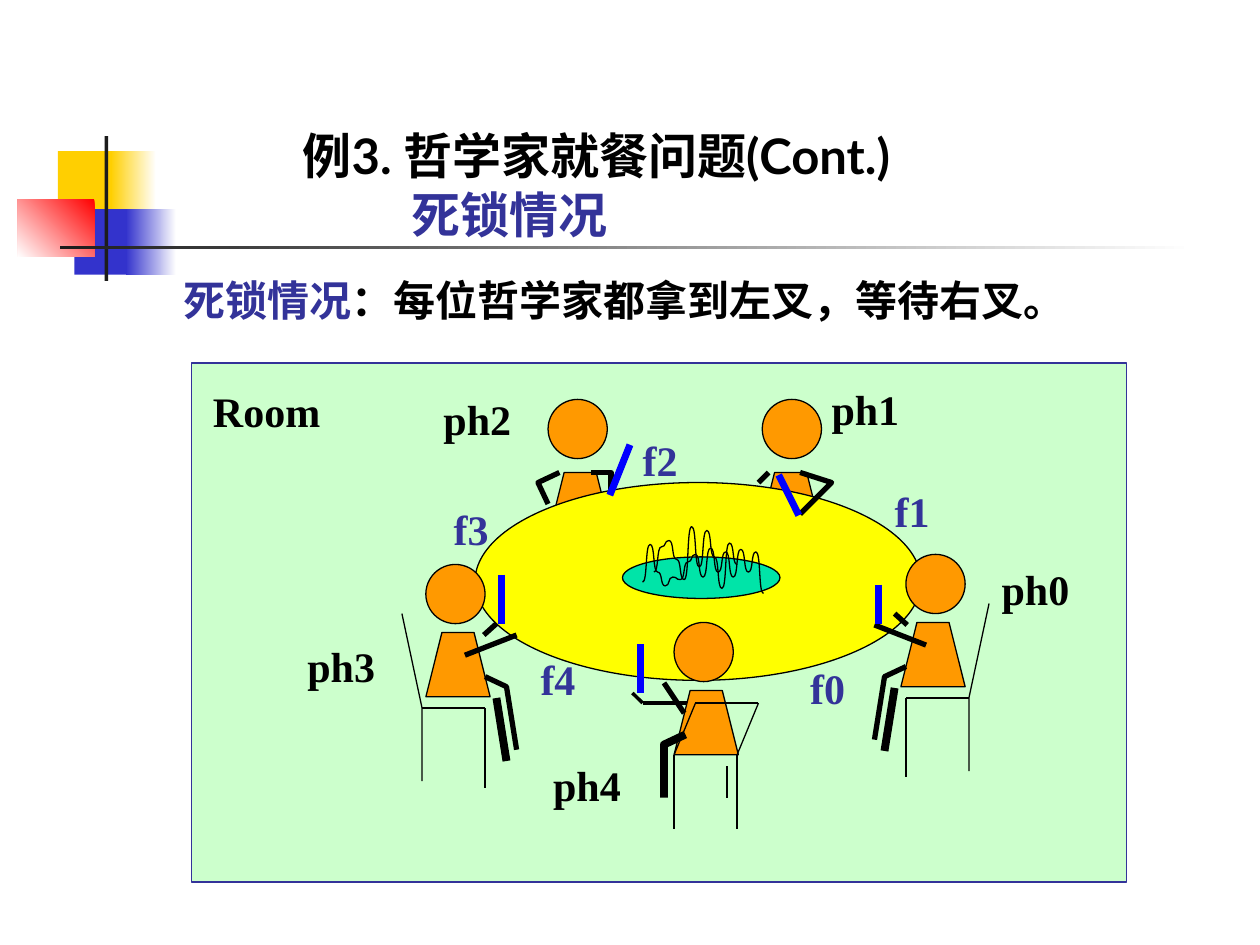
from lxml import etree
from pptx import Presentation
from pptx import util as u
from pptx.dml.color import RGBColor
from pptx.enum import shapes, text
from pptx.oxml.ns import qn

GRID = 0.72
BLACK, ORANGE, INDIGO, BLUE = "000000", "FF9900", "333399", "0000FF"
colour = RGBColor.from_string
KIND = shapes.MSO_SHAPE
HEAD, BODY = 47, 51

deck = Presentation()
deck.slide_width, deck.slide_height = u.Pt(720), u.Pt(540)
page = deck.slides.add_slide(deck.slide_layouts[5])


def place(kind, box, fill, line=BLACK):
    shape = page.shapes.add_shape(kind, *[u.Pt(value * GRID) for value in box])
    shape.shadow.inherit = False
    shape.fill.solid()
    shape.fill.fore_color.rgb = colour(fill)
    if line:
        shape.line.color.rgb = colour(line)
        shape.line.width = u.Pt(0.75)
    else:
        shape.line.fill.background()
    return shape


def trace(points, width=0.75, line=BLACK):
    if len(points) == 2:
        ends = [u.Pt(value * GRID) for point in points for value in point]
        stroke = page.shapes.add_connector(shapes.MSO_CONNECTOR.STRAIGHT, *ends)
        etree.SubElement(stroke._element.spPr, qn("a:effectLst"))
    else:
        builder = page.shapes.build_freeform(*points[0], scale=u.Pt(GRID))
        builder.add_line_segments(points[1:], close=False)
        stroke = builder.convert_to_shape()
        stroke.shadow.inherit = False
        stroke.fill.background()
    stroke.line.color.rgb = colour(line)
    stroke.line.width = u.Pt(width)
    return stroke


decorations = [
    ((46, 120, 48, 52), "FFCF01", None, 0),
    ((88, 120, 36, 52), "FFFFFF", "FFCF01", 180),
    ((59, 166, 46, 52), "3333CC", None, 0),
    ((100, 166, 40, 52), "FFFFFF", "3333CC", 180),
    ((14, 158, 61, 46), "FF0000", "FFFFFF", 225),
    ((83, 108, 3, 115), "1C1C1C", None, 0),
    ((48, 195, 900, 3), "FFFFFF", "1C1C1C", 180),
]
for box, start, end, angle in decorations:
    block = place(KIND.RECTANGLE, box, start, None)
    if end:
        block.fill.gradient()
        block.fill.gradient_angle = angle
        for stop, shade in zip(block.fill.gradient_stops, (start, end)):
            stop.color.rgb = colour(shade)

place(KIND.RECTANGLE, (152, 288, 742, 412), "CCFFCC", INDIGO)
for left in (435, 602):
    place(KIND.TRAPEZOID, (left, 375, BODY, BODY), ORANGE)
place(KIND.OVAL, (377, 383, 354, 157), "FFFF00")

seated = [
    ([(319, 487), (335, 562), (335, 620)], 0.75),
    ([(385, 562), (385, 625)], 0.75),
    ([(335, 562), (385, 562)], 0.75),
    ([(394, 554), (402, 604)], 4.5),
    ([(385, 537), (402, 545), (410, 595)], 3),
    ([(369, 520), (410, 504)], 3),
    ([(384, 504), (394, 495)], 3),
]
for mirrored, rise in ((False, 0), (True, 8)):
    for kind, top, size in ((KIND.TRAPEZOID, 502, BODY), (KIND.OVAL, 448, HEAD)):
        left = 1104 - 338 - size if mirrored else 338
        place(kind, (left, top - rise, size, size), ORANGE)
    for points, width in seated:
        trace([(1104 - x if mirrored else x, y - rise) for x, y in points], width)

trace([(510, 558), (560, 558)], 2)
trace([(502, 550), (510, 558)], 2)
place(KIND.TRAPEZOID, (535, 548, BODY, BODY), ORANGE)
for left in (535, 585):
    trace([(left, 599), (left, 658)])
    trace([(left, 599), (left + 17, 558)])
trace([(552, 558), (602, 558)])
trace([(577, 608), (577, 633)])
trace([(527, 542), (543, 566)], 3)
trace([(544, 583), (527, 591), (527, 633)], 4.5)

for left, top in ((535, 494), (605, 317), (435, 317)):
    place(KIND.OVAL, (left, top, HEAD, HEAD), ORANGE)
arms = [
    [(635, 375), (660, 383), (635, 408)],
    [(610, 375), (602, 383)],
    [(444, 375), (427, 383), (435, 400)],
    [(469, 375), (485, 375), (485, 392)],
]
for arm in arms:
    trace(arm, 3)

place(KIND.OVAL, (494, 442, 125, 33), "00E4A8")
noodles = [
    (519, [454, 434, 429, 444, 460, 418, 450, 421, 442, 467, 431, 448]),
    (510, [462, 432, 454, 465, 458, 460, 446, 440, 458, 435, 454, 438, 458, 436, 454, 438, 471]),
]
for left, heights in noodles:
    points = [(left, heights[0])]
    for index, (start, end) in enumerate(zip(heights, heights[1:])):
        x = left + 6 * index
        points += [(x + 4, start), (x + 2, end), (x + 6, end)]
    strand = trace(points)
    outline = strand._element.spPr.find(".//" + qn("a:path"))
    lines = outline.findall(qn("a:lnTo"))
    for index in range(0, len(lines), 3):
        curve = etree.SubElement(outline, qn("a:cubicBezTo"))
        for piece in lines[index:index + 3]:
            curve.append(piece[0])
            outline.remove(piece)

forks = [
    [(697, 464), (697, 495)],
    [(618, 377), (634, 409)],
    [(500, 353), (484, 393)],
    [(398, 456), (398, 495)],
    [(508, 511), (508, 550)],
]
for fork in forks:
    trace(fork, 4, BLUE)

places = {
    "Room": (169, 306), "ph0": (795, 447), "ph4": (439, 603), "ph3": (244, 508),
    "ph2": (352, 312), "ph1": (660, 304), "f0": (643, 526), "f4": (429, 519),
    "f3": (360, 400), "f2": (510, 345), "f1": (710, 385),
}
labels = [
    (spot, len(name) * 22, [(name, INDIGO if name[0] == "f" else BLACK)])
    for name, spot in places.items()
]
labels.append(((146, 218), 709, [("死锁情况", INDIGO), ("：每位哲学家都拿到左叉，等待右叉。", BLACK)]))
for spot, width, spans in labels:
    box = page.shapes.add_textbox(*[u.Pt(value * GRID) for value in (*spot, width, 40)])
    frame = box.text_frame
    frame.margin_left = frame.margin_right = frame.margin_top = frame.margin_bottom = 0
    frame.word_wrap = True
    for words, ink in spans:
        span = frame.paragraphs[0].add_run()
        span.text = words
        span.font.name, span.font.size, span.font.bold = "Times New Roman", u.Pt(24), True
        span.font.color.rgb = colour(ink)

title = page.shapes.title
title.left, title.top, title.width, title.height = u.Pt(173), u.Pt(38), u.Pt(369), u.Pt(101)
frame = title.text_frame
frame.margin_left = frame.margin_right = frame.margin_top = frame.margin_bottom = 0
frame.vertical_anchor = text.MSO_ANCHOR.BOTTOM
frame.auto_size = text.MSO_AUTO_SIZE.NONE
frame.word_wrap = True
frame.text = "例3. 哲学家就餐问题(Cont.)\n死锁情况"
for para, ink, indent in zip(frame.paragraphs, (BLACK, INDIGO), (0, 62)):
    para.alignment = text.PP_ALIGN.LEFT
    para._p.get_or_add_pPr().set("marL", str(u.Pt(indent)))
    span = para.runs[0]
    span.font.name, span.font.size, span.font.bold = "Lato", u.Pt(28), True
    span.font.color.rgb = colour(ink)

deck.save("out.pptx")
